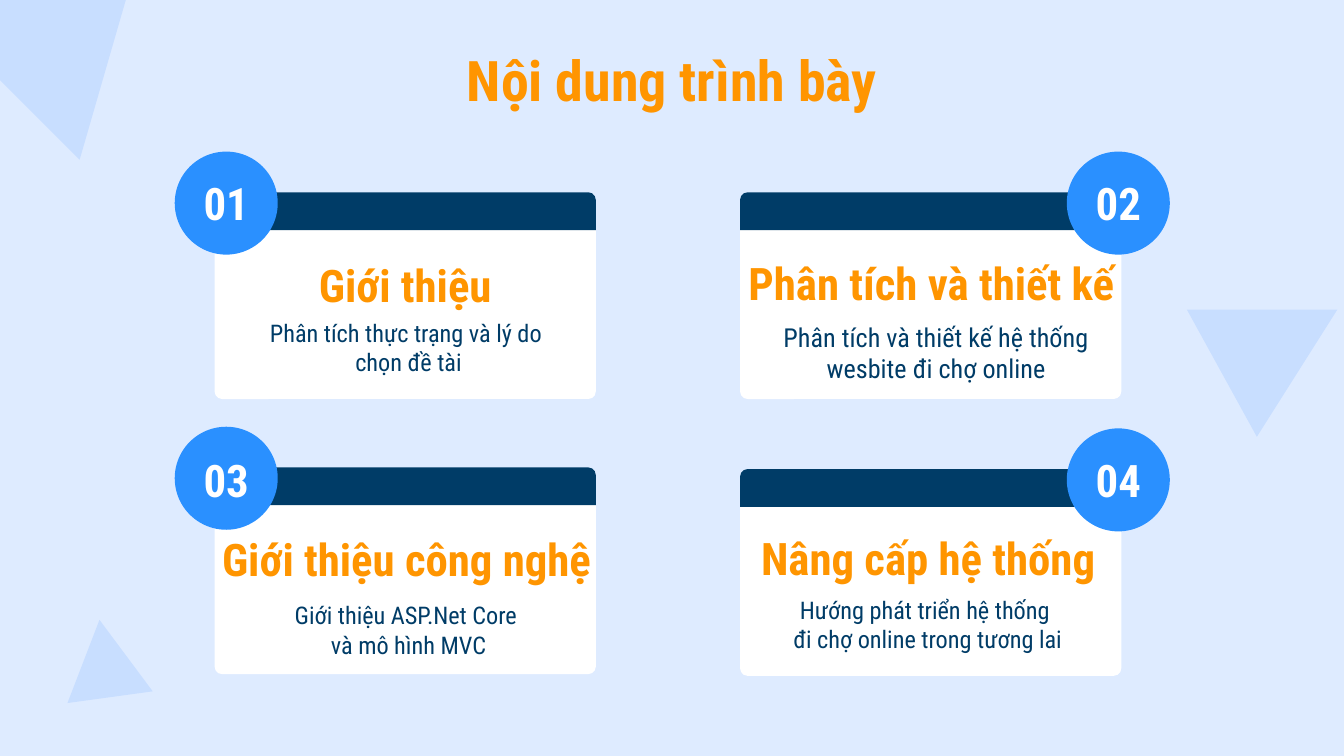
from pptx import Presentation
from pptx.dml.color import RGBColor
from pptx.enum.shapes import MSO_SHAPE as SHAPE
from pptx.enum.text import MSO_ANCHOR as ANCHOR, PP_ALIGN as ALIGN
from pptx.util import Pt

COLORS = {
    "background": "DEEBFF",
    "triangle": "C8DEFF",
    "card": "FFFFFF",
    "navy": "003C67",
    "circle": "2A90FF",
    "orange": "FF9500",
    "white": "FFFFFF",
}
FONT = "Roboto Condensed"
CARD_W, HEADER_H, BODY_H = 204.2, 20.2, 90.6
CORNER = 4
CIRCLE = 55.2
CIRCLE_RISE = 21.8
NUMBER_W, NUMBER_H = 48.2, 47.5

TRIANGLES = [
    (646.6, 147.6, 77.8, 70.6, 61.2),
    (-35.3, -79.2, 146.2, 132.5, 45),
    (33.1, 331.9, 46.1, 41.8, 352.2),
]

# number, card left, card top, circle left, number top, heading, heading box, body, body box, body size
CARDS = [
    ("01", 115, 103, 93.6, 85, "Giới thiệu", (128.2, 126.7, 177.8, 80.6),
     "Phân tích thực trạng và lý do \nchọn đề tài", (116.6, 163.4, 204.5, 47.5), 13),
    ("02", 396.5, 103, 571.5, 85, "Phân tích và thiết kế", (393.1, 125.3, 211.7, 52.6),
     "Phân tích và thiết kế hệ thống wesbite đi chợ online", (396, 164.9, 211, 47.5), 14),
    ("03", 115, 250.4, 93.6, 233.3, "Giới thiệu công nghệ", (111.6, 273.6, 212.4, 55.4),
     "Giới thiệu ASP.Net Core \nvà mô hình MVC", (116.6, 314.6, 204.5, 47.5), 13),
    ("04", 396.5, 251.3, 571.5, 233.3, "Nâng cấp hệ thống", (391, 272.9, 212.4, 55.4),
     "Hướng phát triển hệ thống \nđi chợ online trong tương lai", (394.6, 311.8, 204.5, 50.4), 13),
]


def rgb(name):
    return RGBColor.from_string(COLORS[name])


def add_filled(shapes, kind, box, color, rotation=0):
    sp = shapes.add_shape(kind, *map(Pt, box))
    sp.shadow.inherit = False
    sp.fill.solid()
    sp.fill.fore_color.rgb = rgb(color)
    sp.line.fill.background()
    sp.rotation = rotation
    return sp


def add_text(s, text, box, size, color, bold=False, anchor=ANCHOR.TOP, heading=False):
    tf = s.shapes.add_textbox(*map(Pt, box)).text_frame
    tf.word_wrap = True
    tf.vertical_anchor = anchor
    tf.margin_left = tf.margin_right = tf.margin_top = tf.margin_bottom = Pt(7.2)
    p = tf.paragraphs[0]
    p.text = text
    p.alignment = ALIGN.CENTER
    if heading:
        p.line_spacing = 1.15
        p.space_after = Pt(12)
    for r in p.runs:
        r.font.name = FONT
        r.font.size = Pt(size)
        r.font.bold = bold
        r.font.color.rgb = rgb(color)


def add_card(s, left, top, circle_left):
    shapes = s.shapes.add_group_shape().shapes
    body = add_filled(shapes, SHAPE.ROUND_2_SAME_RECTANGLE,
                      (left, top + HEADER_H, CARD_W, BODY_H), "card")
    body.adjustments[0] = 0
    body.adjustments[1] = CORNER / BODY_H
    header = add_filled(shapes, SHAPE.ROUND_2_SAME_RECTANGLE,
                        (left, top, CARD_W, HEADER_H), "navy")
    header.adjustments[0] = CORNER / HEADER_H
    header.adjustments[1] = 0
    add_filled(s.shapes, SHAPE.OVAL,
               (circle_left, top - CIRCLE_RISE, CIRCLE, CIRCLE), "circle")


def main():
    prs = Presentation()
    prs.slide_width, prs.slide_height = Pt(720), Pt(405)
    s = prs.slides.add_slide(prs.slide_layouts[6])
    s.background.fill.solid()
    s.background.fill.fore_color.rgb = rgb("background")

    for *box, rotation in TRIANGLES:
        add_filled(s.shapes, SHAPE.ISOSCELES_TRIANGLE, box, "triangle", rotation)

    add_text(s, "Nội dung trình bày", (56.2, 17.3, 607.7, 50.4), 30, "orange", bold=True)

    for (number, left, top, circle_left, number_top,
         heading, heading_box, body, body_box, body_size) in CARDS:
        add_card(s, left, top, circle_left)
        number_left = circle_left + (CIRCLE - NUMBER_W) / 2
        add_text(s, number, (number_left, number_top, NUMBER_W, NUMBER_H), 24, "white",
                 bold=True, anchor=ANCHOR.MIDDLE)
        add_text(s, heading, heading_box, 24, "orange", bold=True, heading=True)
        add_text(s, body, body_box, body_size, "navy")

    prs.save("out.pptx")


if __name__ == "__main__":
    main()
